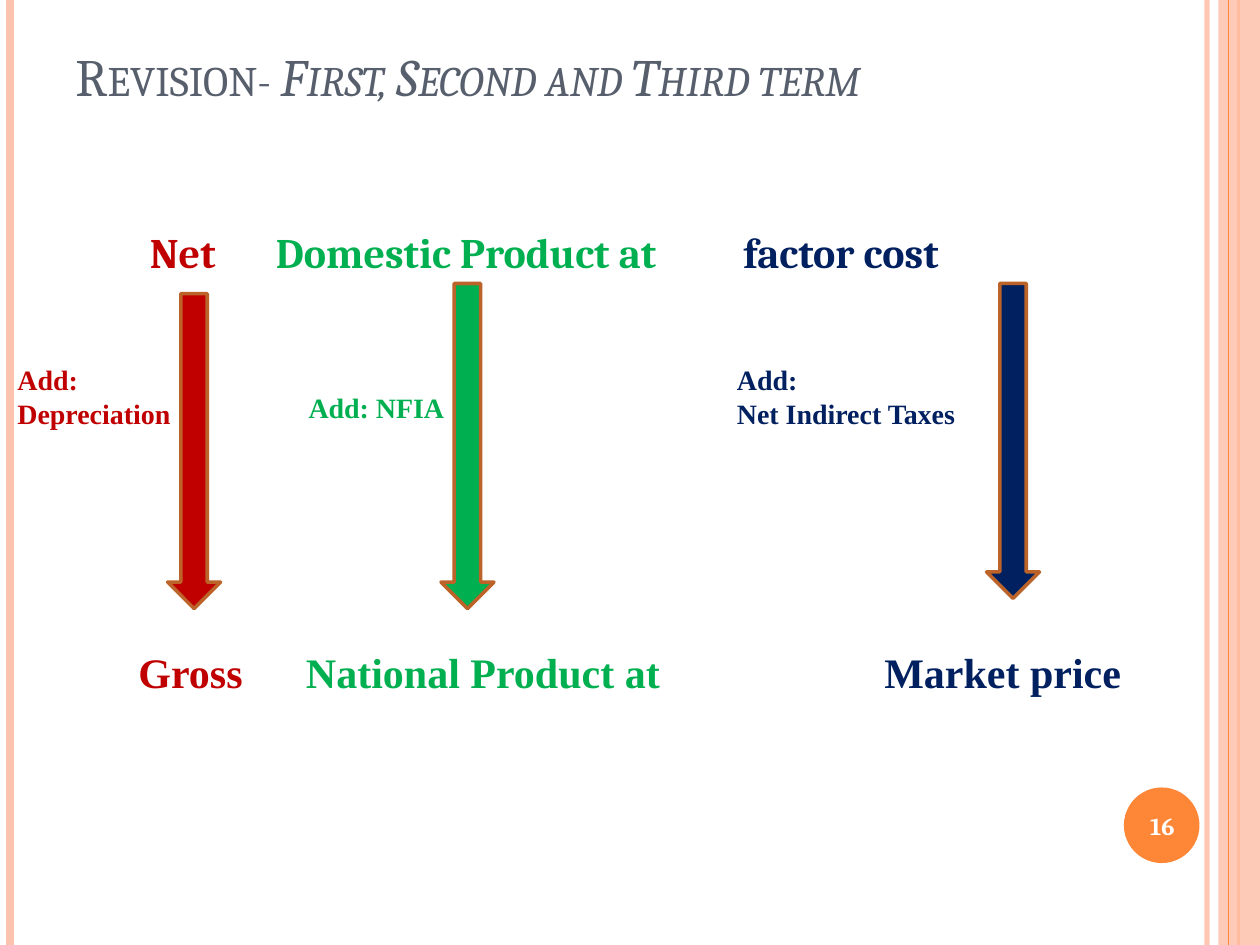
from lxml import etree
from pptx import Presentation
from pptx.dml.color import RGBColor
from pptx.enum import shapes, text
from pptx.oxml.ns import qn
from pptx.util import Inches, Pt

RED = RGBColor(0xC0, 0x00, 0x00)
GREEN = RGBColor(0x00, 0xB0, 0x50)
NAVY = RGBColor(0x00, 0x20, 0x60)
SLATE = RGBColor(0x57, 0x5F, 0x6D)
WHITE = RGBColor(0xFF, 0xFF, 0xFF)
PEACH = RGBColor(0xFE, 0xC3, 0xAE)
ORANGE = RGBColor(0xFE, 0x86, 0x37)
BROWN = RGBColor(0xBC, 0x63, 0x29)
SERIF, TIMES = "Cambria", "Times New Roman"
WIDE, HIGH = 10, 7.5

# x, colour, width in points, opacity in percent
BACK_RULES = [(9.58, PEACH, 3, 93), (0.08, PEACH, 4.5, 100), (9.83, ORANGE, 1.5, 100)]
FRONT_RULES = [(9.75, ORANGE, 0.75, 100)]

# left, top, height, colour
ARROWS = [
    (3.5, 2.25, 2.58, GREEN),
    (1.33, 2.33, 2.5, RED),
    (7.83, 2.25, 2.5, NAVY),
]

# box, colour, lines
NOTES = [
    ((0.04, 2.83, 2, 0.64), RED, ["Add:", "Depreciation"]),
    ((2.35, 3.05, 1.42, 0.37), GREEN, ["Add: NFIA"]),
    ((5.75, 2.83, 2.42, 0.64), NAVY, ["Add:", "Net Indirect Taxes"]),
]

# box, left inset, font, tab stops, words
ROWS = [
    ((0, 1.75, 9.75, 5.33), 1.19, SERIF, (1, 4.71),
     ["Net", "Domestic Product at", "factor cost"]),
    ((1, 5.08, 8.08, 0.5), 0.1, TIMES, (1.33, 5.92),
     ["Gross", "National Product at", "Market price"]),
]
HUES = [RED, GREEN, NAVY]


def fade(fill, percent):
    """Make a solid fill see-through."""
    if percent < 100:
        tone = fill.find(".//" + qn("a:srgbClr"))
        etree.SubElement(tone, qn("a:alpha"), val=str(percent * 1000))


def add_rule(slide, x, hue, width, percent):
    rule = slide.shapes.add_connector(
        shapes.MSO_CONNECTOR.STRAIGHT, Inches(x), 0, Inches(x), Inches(HIGH))
    rule.line.color.rgb = hue
    rule.line.width = Pt(width)
    fade(rule.line._ln, percent)
    etree.SubElement(rule._element.spPr, qn("a:effectLst"))


def add_form(slide, kind, box, hue, edge=None):
    form = slide.shapes.add_shape(kind, *map(Inches, box))
    form.shadow.inherit = False
    form.fill.solid()
    form.fill.fore_color.rgb = hue
    if edge is None:
        form.line.fill.background()
    else:
        form.line.color.rgb = edge
        form.line.width = Pt(2)
    return form


def add_box(slide, box):
    frame = slide.shapes.add_textbox(*map(Inches, box)).text_frame
    frame.word_wrap = True
    return frame


def add_run(para, words, face, size, hue, bold=False, italic=False):
    run = para.add_run()
    run.text = words
    font = run.font
    font.name, font.size = face, Pt(size)
    font.bold, font.italic = bold, italic
    font.color.rgb = hue
    return run


def add_tabs(para, stops):
    tabs = etree.SubElement(para._p.get_or_add_pPr(), qn("a:tabLst"))
    for stop in stops:
        etree.SubElement(tabs, qn("a:tab"), pos=str(Inches(stop)), algn="l")


def main():
    deck = Presentation()
    deck.slide_width, deck.slide_height = Inches(WIDE), Inches(HIGH)
    slide = deck.slides.add_slide(deck.slide_layouts[6])
    kinds = shapes.MSO_SHAPE

    for rule in BACK_RULES:
        add_rule(slide, *rule)
    band = add_form(slide, kinds.RECTANGLE, (9.67, 0, 0.33, HIGH), PEACH)
    fade(band._element.spPr, 87)
    for rule in FRONT_RULES:
        add_rule(slide, *rule)
    add_form(slide, kinds.OVAL, (8.92, 6.25, 0.6, 0.6), ORANGE)

    for left, top, height, hue in ARROWS:
        add_form(slide, kinds.DOWN_ARROW, (left, top, 0.42, height), hue, BROWN)

    for box, hue, lines in NOTES:
        frame = add_box(slide, box)
        for i, line in enumerate(lines):
            para = frame.add_paragraph() if i else frame.paragraphs[0]
            add_run(para, line, TIMES, 16, hue, bold=True)

    for box, inset, face, stops, words in ROWS:
        frame = add_box(slide, box)
        frame.margin_left = Inches(inset)
        para = frame.paragraphs[0]
        add_tabs(para, stops)
        for i, (word, hue) in enumerate(zip(words, HUES)):
            add_run(para, "\t" + word if i else word, face, 24, hue, bold=True)

    title = add_box(slide, (0.5, 0.3, 8.92, 0.87)).paragraphs[0]
    for words, slant in [("Revision- ", False), ("First, Second and Third term", True)]:
        run = add_run(title, words, SERIF, 30, SLATE, italic=slant)
        run._r.get_or_add_rPr().set("cap", "small")

    frame = add_box(slide, (8.89, 6.27, 0.67, 0.57))
    frame.vertical_anchor = text.MSO_ANCHOR.MIDDLE
    para = frame.paragraphs[0]
    para.alignment = text.PP_ALIGN.CENTER
    add_run(para, "16", SERIF, 14, WHITE, bold=True)

    deck.save("out.pptx")


if __name__ == "__main__":
    main()
